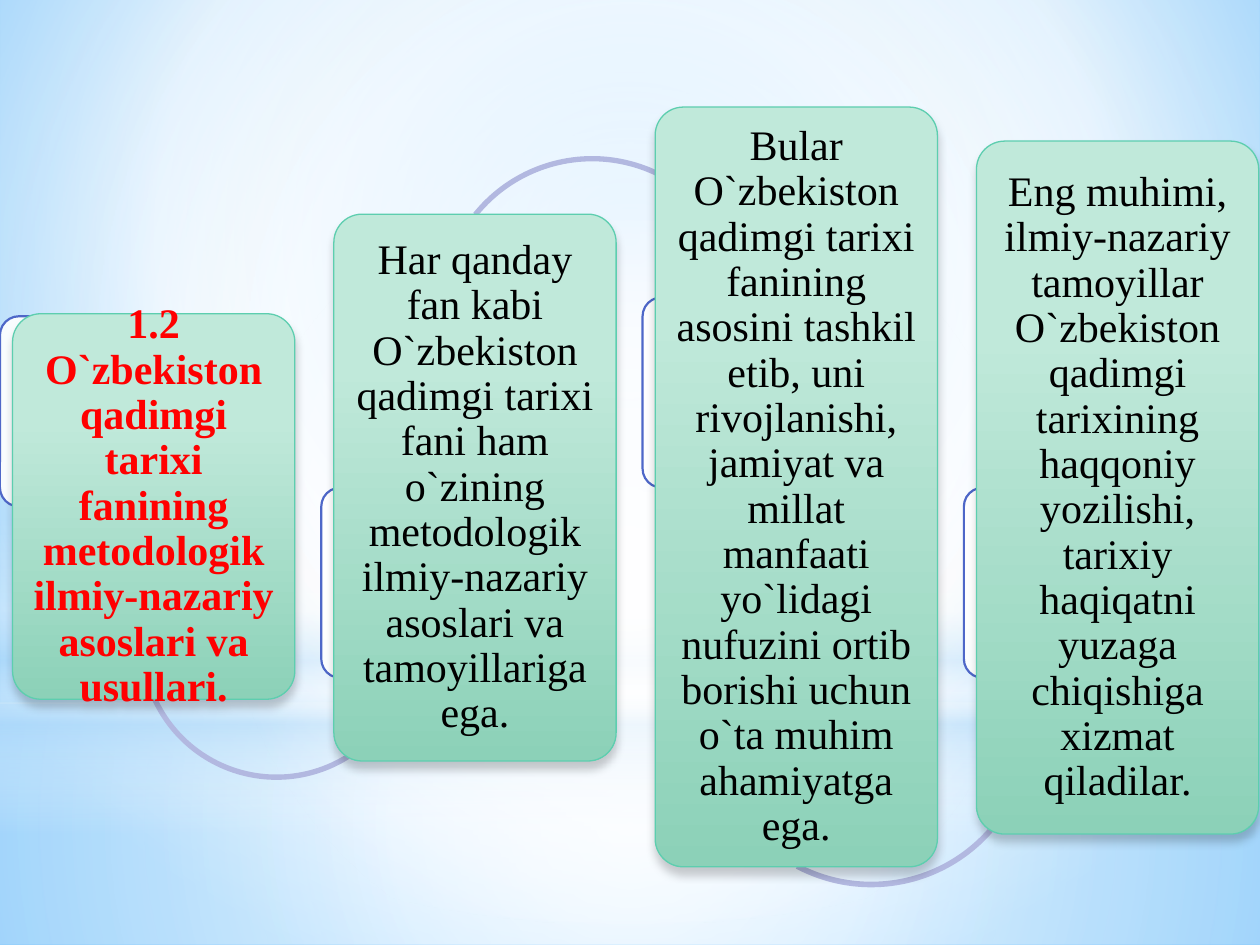
import pptx
import pptx.util
import pptx.dml.color
import pptx.enum.shapes
import pptx.enum.text
import pptx.oxml
import pptx.oxml.ns

Inches, Pt = pptx.util.Inches, pptx.util.Pt
Kind = pptx.enum.shapes.MSO_SHAPE
qn = pptx.oxml.ns.qn
NS = pptx.oxml.ns.nsdecls("a")

HUES = {
    "white": "FFFFFF", "sky": "B4DCFA", "pale": "9ED5FF", "blue": "5BB9FF",
    "edge": "4E67C8", "arc": "B2B8E0", "mint": "C0E9DA", "green": "8CD1B8",
    "rim": "5DCEAF", "red": "FF0000", "black": "000000",
}
FONT = "Times New Roman"
MID = (50, 50, 50, 50)

# top and height of the card, top of the stub behind it, words, text style
CARDS = [
    (2.49, 3.06, 2.51,
     "1.2 O`zbekiston qadimgi tarixi fanining metodologik ilmiy-nazariy "
     "asoslari va usullari.", "red", True),
    (1.7, 4.34, 3.87,
     "Har qanday fan kabi O`zbekiston qadimgi tarixi fani ham o`zining "
     "metodologik ilmiy-nazariy asoslari va tamoyillariga ega.", "black", False),
    (0.85, 6.03, 2.36,
     "Bular O`zbekiston qadimgi tarixi fanining asosini tashkil etib, uni "
     "rivojlanishi, jamiyat va millat manfaati yo`lidagi nufuzini ortib "
     "borishi uchun o`ta muhim ahamiyatga ega.", "black", False),
    (1.12, 5.5, 3.87,
     "Eng muhimi, ilmiy-nazariy tamoyillar O`zbekiston qadimgi tarixining "
     "haqqoniy yozilishi, tarixiy haqiqatni yuzaga chiqishiga xizmat "
     "qiladilar.", "black", False),
]
# left, top, size, kind, adjustments of the arc from each card to the next
ARCS = [
    (1.08, 3.99, 2.23, Kind.LEFT_CIRCULAR_ARROW, (0.019, 2.329, 22.944, 93.104, 0.023)),
    (3.46, 1.21, 2.48, Kind.CIRCULAR_ARROW, (0.017, 2.078, 201.711, 131.299, 0.02)),
    (5.61, 4.46, 2.61, Kind.LEFT_CIRCULAR_ARROW, (0.017, 1.971, 0.225, 70.744, 0.019)),
]
STEP = 2.55


def rgb(name):
    return pptx.dml.color.RGBColor.from_string(HUES[name])


def hue(name, alpha):
    return (f'<a:srgbClr val="{HUES[name]}">'
            f'<a:alpha val="{alpha * 1000}"/></a:srgbClr>')


def paint(fill, home, inner):
    """Give fill, held in the element home, the fill written as XML."""
    fill.solid()
    home.replace(home.find(qn("a:solidFill")), pptx.oxml.parse_xml(inner))


def blend(stops, focus=None):
    """Gradient XML: round about the focus, or top to bottom without one."""
    marks = "".join(f'<a:gs pos="{pos * 1000}">{hue(name, alpha)}</a:gs>'
                    for pos, name, alpha in stops)
    if focus:
        sides = " ".join(f'{side}="{part * 1000}"' for side, part in zip("ltrb", focus))
        way = f'<a:path path="circle"><a:fillToRect {sides}/></a:path>'
    else:
        way = '<a:lin ang="5400000" scaled="0"/>'
    return (f'<a:gradFill {NS} rotWithShape="1"><a:gsLst>{marks}</a:gsLst>'
            f'{way}</a:gradFill>')


def form(slide, kind, box, fill, line=None, width=0, adjust=()):
    shape = slide.shapes.add_shape(kind, *map(Inches, box))
    shape.shadow.inherit = False
    for spot, value in enumerate(adjust):
        shape.adjustments[spot] = value
    paint(shape.fill, shape._element.spPr, fill)
    if line:
        shape.line.color.rgb = rgb(line)
        shape.line.width = Pt(width)
    else:
        shape.line.fill.background()
    return shape


def flat(name, alpha=100):
    return f'<a:solidFill {NS}>{hue(name, alpha)}</a:solidFill>'


def backdrop(slide, wide, high):
    fill = slide.background.fill
    fill.solid()
    home = slide._element.find(".//" + qn("p:bgPr"))
    paint(fill, home, blend([(0, "pale", 100), (60, "white", 100), (100, "blue", 100)],
                            (20, 10, 20, 60)))
    split = 5.58
    glow = blend([(0, "white", 100), (56, "white", 0)], MID)
    low = blend([(0, "white", 91), (37, "white", 76), (100, "sky", 79)], MID)
    top = blend([(0, "white", 89), (48, "white", 62), (100, "sky", 79)], MID)
    band = blend([(0, "white", 0), (29, "white", 30), (45, "sky", 40),
                  (55, "white", 26), (65, "sky", 60), (100, "white", 0)])
    form(slide, Kind.RECTANGLE, (0, split, wide, high - split), low)
    form(slide, Kind.RECTANGLE, (0, 0, wide, split), top)
    form(slide, Kind.RECTANGLE, (0, 4.12, wide, 2.5), band)
    form(slide, Kind.OVAL, (0, 1.75, wide, split), glow)


def shade(shape):
    """Drop a soft shadow straight below the shape."""
    glow = shape._element.spPr.find(qn("a:effectLst"))
    glow.append(pptx.oxml.parse_xml(
        f'<a:outerShdw {NS} blurRad="{Pt(5)}" dist="{Pt(4)}" dir="5400000" '
        f'rotWithShape="0">{hue("black", 20)}</a:outerShdw>'))


def write(shape, words, color, bold):
    frame = shape.text_frame
    looks = {
        "word_wrap": True, "vertical_anchor": pptx.enum.text.MSO_ANCHOR.MIDDLE,
        "margin_left": Inches(0.05), "margin_right": Inches(0.05),
        "margin_top": Inches(0.03), "margin_bottom": Inches(0.03),
    }
    for key, value in looks.items():
        setattr(frame, key, value)
    para = frame.paragraphs[0]
    para.text = words
    para.alignment = pptx.enum.text.PP_ALIGN.CENTER
    para.line_spacing = 0.9
    for key, value in {"name": FONT, "size": Pt(24), "bold": bold}.items():
        setattr(para.font, key, value)
    para.font.color.rgb = rgb(color)


def card(slide, box, words, color, bold):
    mint = blend([(28, "mint", 100), (100, "green", 100)])
    shape = form(slide, Kind.ROUNDED_RECTANGLE, box, mint, "rim", 0.75, (0.1,))
    shade(shape)
    write(shape, words, color, bold)


def chain(slide, left):
    """Place the cards in a row, each over its stub and the arc leaving it."""
    for spot, (top, high, back, words, color, bold) in enumerate(CARDS):
        start = left + spot * STEP
        form(slide, Kind.ROUNDED_RECTANGLE, (start, back, 1.83, 1.51),
             flat("white", 90), "edge", 1.25, (0.1,))
        if spot < len(ARCS):
            x, y, size, kind, adjust = ARCS[spot]
            form(slide, kind, (left + x, y, size, size), flat("arc"), adjust=adjust)
        card(slide, (start + 0.1, top, 2.24, high), words, color, bold)


def main():
    deck = pptx.Presentation()
    deck.slide_width, deck.slide_height = Inches(10), Inches(7.5)
    slide = deck.slides.add_slide(deck.slide_layouts[6])
    backdrop(slide, 10, 7.5)
    chain(slide, 0)
    deck.save("out.pptx")


if __name__ == "__main__":
    main()
